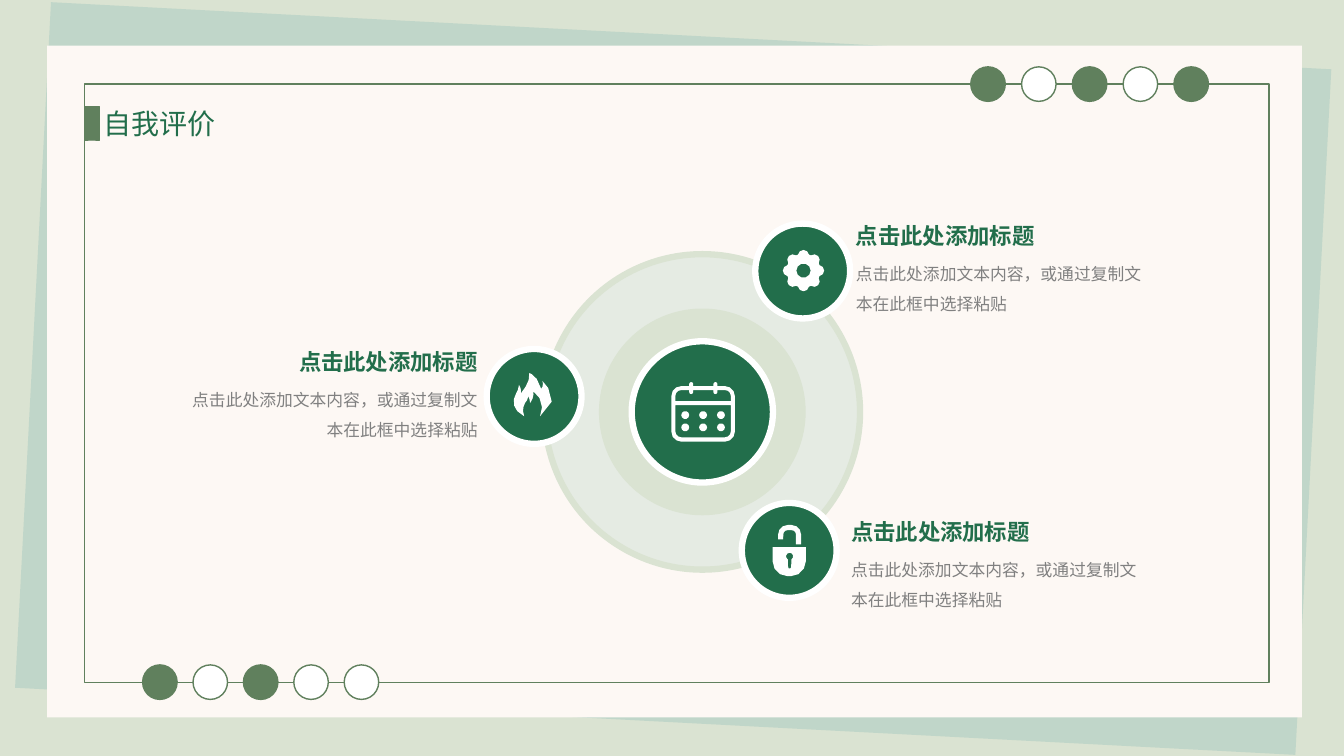
from math import cos, radians, sin

from lxml.etree import SubElement
from pptx import Presentation
from pptx.dml.color import RGBColor
from pptx.enum.shapes import MSO_SHAPE as SHAPE
from pptx.enum.text import MSO_AUTO_SIZE as AUTO, PP_ALIGN as ALIGN
from pptx.oxml.ns import qn
from pptx.util import Cm, Pt

GREEN, MOSS, SAGE, MINT = "226E4B", "60805D", "DAE3D2", "C0D6C9"
CREAM, WHITE, GREY = "FDF8F4", "FFFFFF", "808080"
HEADING = "点击此处添加标题"
BODY = "点击此处添加文本内容，或通过复制文本在此框中选择粘贴"
FLAME = [
    (13.21, 10.49),
    (13.16, 10.34), (13.18, 10.26), (13.23, 10.16),
    (13.31, 10.08), (13.31, 9.98), (13.31, 9.98),
    (13.31, 9.98), (13.36, 10.06), (13.36, 10.16),
    (13.44, 10.06), (13.46, 9.91), (13.44, 9.86),
    (13.64, 9.98), (13.72, 10.29), (13.61, 10.49),
    (14.2, 10.16), (13.74, 9.65), (13.67, 9.6),
    (13.69, 9.65), (13.69, 9.75), (13.64, 9.8),
    (13.56, 9.47), (13.34, 9.4), (13.34, 9.4),
    (13.36, 9.58), (13.26, 9.75), (13.13, 9.91),
    (13.13, 9.83), (13.13, 9.78), (13.08, 9.7),
    (13.08, 9.83), (12.98, 9.93), (12.95, 10.06),
    (12.93, 10.24), (12.98, 10.36), (13.21, 10.49),
]


def color(hex_code):
    return RGBColor.from_string(hex_code)


def paint(sp, fill=None, line=None, width=1, alpha=None):
    sp.shadow.inherit = False
    if fill:
        sp.fill.solid()
        sp.fill.fore_color.rgb = color(fill)
    else:
        sp.fill.background()
    if line:
        sp.line.color.rgb = color(line)
        sp.line.width = Pt(width)
    else:
        sp.line.fill.background()
    if alpha:
        clr = sp.fill._xPr.find(qn("a:solidFill"))[0]
        SubElement(clr, qn("a:alpha")).set("val", str(alpha * 1000))


def shape(s, kind, x, y, w, h, **look):
    sp = s.shapes.add_shape(kind, Cm(x), Cm(y), Cm(w), Cm(h))
    paint(sp, **look)
    return sp


def circle(s, cx, cy, d, **look):
    return shape(s, SHAPE.OVAL, cx - d / 2, cy - d / 2, d, d, **look)


def text(s, words, x, y, w, h, size=12, ink=GREY, bold=False,
         align=ALIGN.LEFT, spacing=1.0, inset=True):
    tf = s.shapes.add_textbox(Cm(x), Cm(y), Cm(w), Cm(h)).text_frame
    tf.word_wrap = True
    tf.auto_size = AUTO.SHAPE_TO_FIT_TEXT
    if not inset:
        tf.margin_left = tf.margin_right = tf.margin_top = tf.margin_bottom = 0
    p = tf.paragraphs[0]
    p.alignment = align
    p.line_spacing = spacing
    r = p.add_run()
    r.text = words
    r.font.name = "Calibri"
    r.font.size = Pt(size)
    r.font.bold = bold
    r.font.color.rgb = color(ink)


def arc(cx, cy, radius, start, end, steps=3):
    if not radius:
        return [(cx, cy)]
    angles = [radians(start + (end - start) * i / steps) for i in range(steps + 1)]
    return [(cx + radius * cos(a), cy + radius * sin(a)) for a in angles]


def ring(cx, cy, radius):
    return arc(cx, cy, radius, 0, 360, 10)[:-1]


def box(x, y, w, h, top=0, bottom=0):
    left, right, low = x + bottom, x + w - bottom, y + h - bottom
    return (arc(x + top, y + top, top, 180, 270) + arc(x + w - top, y + top, top, 270, 360)
            + arc(right, low, bottom, 0, 90) + arc(left, low, bottom, 90, 180))


def curve(knots, steps=3):
    points = knots[:1]
    for i in range(0, len(knots) - 1, 3):
        quad = knots[i:i + 4]
        for t in (n / steps for n in range(1, steps + 1)):
            weights = ((1 - t) ** 3, 3 * t * (1 - t) ** 2, 3 * t * t * (1 - t), t ** 3)
            points.append(tuple(sum(k * q[axis] for k, q in zip(weights, quad))
                                for axis in (0, 1)))
    return points


def icon(s, *contours):
    paths = [[(Cm(x), Cm(y)) for x, y in c] for c in contours]
    builder = s.shapes.build_freeform(*paths[0][0])
    for i, path in enumerate(paths):
        if i:
            builder.move_to(*path[0])
        builder.add_line_segments(path[1:], close=True)
    paint(builder.convert_to_shape(), fill=WHITE)


def flame(s):
    icon(s, curve(FLAME))


def gear(s, cx=20.25, cy=6.82):
    teeth = []
    for angle in range(0, 360, 45):
        x, y = cx + 0.38 * cos(radians(angle)), cy + 0.38 * sin(radians(angle))
        teeth += arc(x, y, 0.14, angle - 80, angle + 80, 4)
    icon(s, teeth, ring(cx, cy, 0.18))


def padlock(s):
    y = 13.47
    shackle = ([(19.61, 13.59)] + arc(19.85, y, 0.24, 180, 270) + arc(19.95, y, 0.24, 270, 360)
               + [(20.19, 13.72), (20.06, 13.72)] + arc(19.95, y, 0.11, 360, 270)
               + arc(19.85, y, 0.11, 270, 180) + [(19.74, 13.59)])
    keyhole = arc(19.9, 14.02, 0.09, 120, 420, 8) + arc(19.9, 14.29, 0.04, 0, 180)
    icon(s, shackle, box(19.47, 13.79, 0.84, 0.73, bottom=0.38), keyhole)


def calendar(s):
    days = [ring(17.27 + 0.45 * col, 10.46 + 0.31 * row, 0.1)
            for row in range(2) for col in range(3)]
    pins = [pin for x in (17.37, 17.98)
            for pin in (box(x, 9.63, 0.1, 0.1, top=0.05), box(x, 9.83, 0.1, 0.1, bottom=0.05))]
    icon(s, box(16.92, 9.73, 1.6, 1.4, 0.25, 0.25), box(17.02, 9.83, 1.4, 0.28, top=0.15),
         box(17.02, 10.21, 1.4, 0.81, bottom=0.15), *days, *pins)


def beads(s, x, y, pitch, fills):
    for i, fill in enumerate(fills):
        circle(s, x + i * pitch, y, 0.87, fill=fill, line=MOSS)


def entry(s, cx, cy, draw_icon, edge, y, heading_w, body_w, align):
    circle(s, cx, cy, 2.39, fill=GREEN, line=WHITE, width=4.5)
    draw_icon(s)
    shift = 1 if align == ALIGN.RIGHT else 0
    text(s, HEADING, edge - shift * heading_w, y, heading_w, 0.69, size=16, ink=GREEN,
         bold=True, align=align, inset=False)
    text(s, BODY, edge - shift * body_w, y + 0.79, body_w, 1.45, align=align,
         spacing=1.5, inset=False)


def main():
    prs = Presentation()
    prs.slide_width, prs.slide_height = Cm(33.87), Cm(19.05)
    s = prs.slides.add_slide(prs.slide_layouts[6])
    s.background.fill.solid()
    s.background.fill.fore_color.rgb = color(SAGE)

    shape(s, SHAPE.RECTANGLE, 0.81, 0.89, 32.31, 17.3, fill=MINT).rotation = 3
    shape(s, SHAPE.RECTANGLE, 1.19, 1.15, 31.62, 16.93, fill=CREAM)
    shape(s, SHAPE.RECTANGLE, 2.13, 2.12, 29.85, 15.08, line=MOSS)
    beads(s, 24.9, 2.12, 1.28, [MOSS, WHITE, MOSS, WHITE, MOSS])
    beads(s, 4.03, 17.19, 1.27, [MOSS, WHITE, MOSS, WHITE, WHITE])
    text(s, "自我评价", 2.36, 2.55, 4.32, 1.12, size=20, ink=GREEN, align=ALIGN.JUSTIFY)
    shape(s, SHAPE.RECTANGLE, 2.13, 2.68, 0.37, 0.85, fill=MOSS, line=MOSS, width=0.25)

    circle(s, 17.7, 10.38, 7.95, fill=MINT, alpha=38, line=SAGE, width=4.5)
    circle(s, 17.7, 10.38, 5.21, fill=SAGE)
    circle(s, 17.7, 10.38, 3.56, fill=GREEN, line=WHITE, width=4.5)
    entry(s, 13.46, 9.99, flame, 12.04, 8.77, 7.82, 7.24, ALIGN.RIGHT)
    entry(s, 20.23, 6.83, gear, 21.57, 5.59, 8.48, 7.5, ALIGN.LEFT)
    entry(s, 19.89, 13.87, padlock, 21.45, 13.05, 8.48, 7.6, ALIGN.LEFT)
    calendar(s)
    prs.save("out.pptx")


if __name__ == "__main__":
    main()
